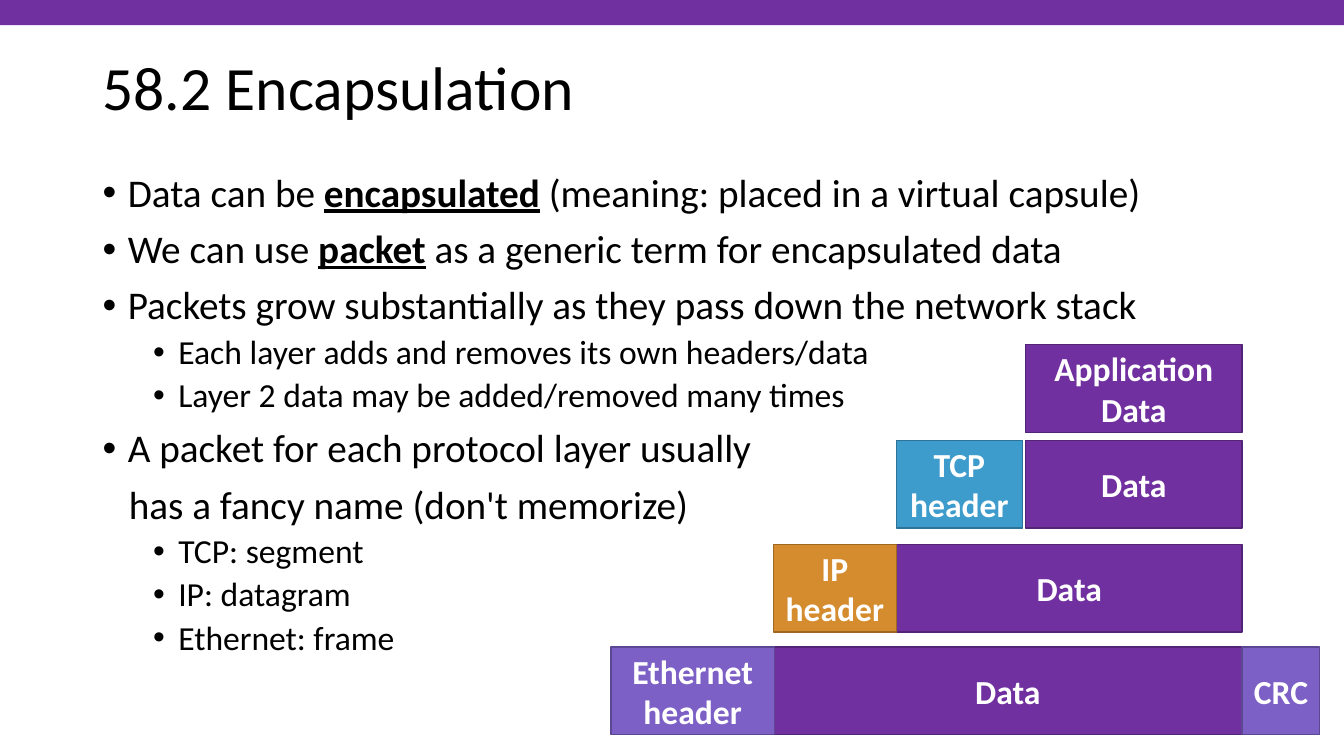
from dataclasses import dataclass

from lxml import etree
from pptx import Presentation
from pptx import util as u
from pptx.dml import color
from pptx.enum import shapes, text
from pptx.oxml import ns


@dataclass(frozen=True)
class Theme:
    font: str = "Calibri"
    ink: str = "000000"
    white: str = "FFFFFF"
    purple: str = "7030A0"
    purple_line: str = "532476"
    blue: str = "3D9CCC"
    blue_line: str = "2D7397"
    orange: str = "D58C2E"
    orange_line: str = "9E6822"
    violet: str = "7C60C6"
    violet_line: str = "5C4792"
    title_size: int = 44
    body_size: int = 28
    small_size: int = 24


THEME = Theme()
DATA = (THEME.purple, THEME.purple_line)
TCP = (THEME.blue, THEME.blue_line)
IP = (THEME.orange, THEME.orange_line)
ETHERNET = (THEME.violet, THEME.violet_line)

LEVELS = {
    "main": {"size": THEME.body_size, "before": 10, "left": 0.25, "bullet": True},
    "continued": {"size": THEME.body_size, "before": 10, "left": 0.26, "bullet": False},
    "sub": {"size": THEME.small_size, "before": 5, "left": 0.75, "bullet": True},
}

BULLETS = [
    ("main", ["Data can be ", "encapsulated", " (meaning: placed in a virtual capsule)"]),
    ("main", ["We can use ", "packet", " as a generic term for encapsulated data"]),
    ("main", ["Packets grow substantially as they pass down the network stack"]),
    ("sub", ["Each layer adds and removes its own headers/data"]),
    ("sub", ["Layer 2 data may be added/removed many times"]),
    ("main", ["A packet for each protocol layer usually"]),
    ("continued", ["has a fancy name (don't memorize)"]),
    ("sub", ["TCP: segment"]),
    ("sub", ["IP: datagram"]),
    ("sub", ["Ethernet: frame"]),
]

PACKET_HEIGHT = 0.87
PACKET_ROWS = [
    (0, [("Application Data", 4.11, 2.15, DATA)]),
    (0.95, [("Data", 4.11, 2.15, DATA), ("TCP header", 2.83, 1.25, TCP)]),
    (1.98, [("Data", 2.83, 3.43, DATA), ("IP header", 1.61, 1.22, IP)]),
    (3, [("Data", 1.61, 4.65, DATA), ("Ethernet header", 0, 1.62, ETHERNET),
         ("CRC", 6.26, 0.77, ETHERNET)]),
]


def apply_format(target, values):
    for name, value in values.items():
        setattr(target, name, value)


def add_run(paragraph, words, size, ink=THEME.ink, **values):
    run = paragraph.add_run()
    run.text = words
    apply_format(run.font, {"name": THEME.font, "size": u.Pt(size), **values})
    run.font.color.rgb = color.RGBColor.from_string(ink)


def add_text_box(slide, box, anchor):
    frame = slide.shapes.add_textbox(*map(u.Inches, box)).text_frame
    apply_format(frame, {"word_wrap": True, "vertical_anchor": anchor})
    return frame


def add_rectangle(slide, box, fill, line=None):
    shape = slide.shapes.add_shape(shapes.MSO_SHAPE.RECTANGLE, *map(u.Inches, box))
    shape.shadow.inherit = False
    shape.fill.solid()
    shape.fill.fore_color.rgb = color.RGBColor.from_string(fill)
    if line:
        shape.line.color.rgb = color.RGBColor.from_string(line)
        shape.line.width = u.Pt(1)
    else:
        shape.line.fill.background()
    return shape


def indent_paragraph(paragraph, left, bullet):
    properties = paragraph._p.get_or_add_pPr()
    properties.set("marL", str(u.Inches(left)))
    properties.set("indent", str(u.Inches(-0.25 if bullet else 0)))
    if bullet:
        font = etree.SubElement(properties, ns.qn("a:buFont"))
        font.set("typeface", "Arial")
        mark = etree.SubElement(properties, ns.qn("a:buChar"))
        mark.set("char", "•")
    else:
        etree.SubElement(properties, ns.qn("a:buNone"))


def add_title(slide, box):
    paragraph = add_text_box(slide, box, text.MSO_ANCHOR.MIDDLE).paragraphs[0]
    paragraph.line_spacing = 0.9
    add_run(paragraph, "58.2 Encapsulation", THEME.title_size)


def add_bullets(slide, box):
    frame = add_text_box(slide, box, text.MSO_ANCHOR.TOP)
    for index, (level, pieces) in enumerate(BULLETS):
        paragraph = frame.add_paragraph() if index else frame.paragraphs[0]
        style = LEVELS[level]
        apply_format(paragraph, {
            "line_spacing": 0.9,
            "space_before": u.Pt(style["before"]),
            "level": int(level == "sub"),
        })
        indent_paragraph(paragraph, style["left"], style["bullet"])
        for position, words in enumerate(pieces):
            key_term = position == 1
            add_run(paragraph, words, style["size"], bold=key_term, underline=key_term)


def add_packet_diagram(slide, left, top):
    for row_top, parts in PACKET_ROWS:
        for label, part_left, width, (fill, line) in parts:
            box = (left + part_left, top + row_top, width, PACKET_HEIGHT)
            frame = add_rectangle(slide, box, fill, line).text_frame
            apply_format(frame, {
                "word_wrap": True,
                "vertical_anchor": text.MSO_ANCHOR.MIDDLE,
            })
            paragraph = frame.paragraphs[0]
            paragraph.alignment = text.PP_ALIGN.CENTER
            add_run(paragraph, label, THEME.small_size, THEME.white, bold=True)


def add_encapsulation_slide(presentation):
    slide = presentation.slides.add_slide(presentation.slide_layouts[6])
    add_title(slide, (0.92, 0.17, 11.5, 1.45))
    add_bullets(slide, (0.92, 1.67, 11.83, 5.62))
    add_rectangle(slide, (0, 0, 13.33, 0.25), THEME.purple)
    add_packet_diagram(slide, 6.06, 3.42)


def main():
    presentation = Presentation()
    apply_format(presentation, {
        "slide_width": u.Inches(13.33),
        "slide_height": u.Inches(7.5),
    })
    add_encapsulation_slide(presentation)
    presentation.save("out.pptx")


if __name__ == "__main__":
    main()
